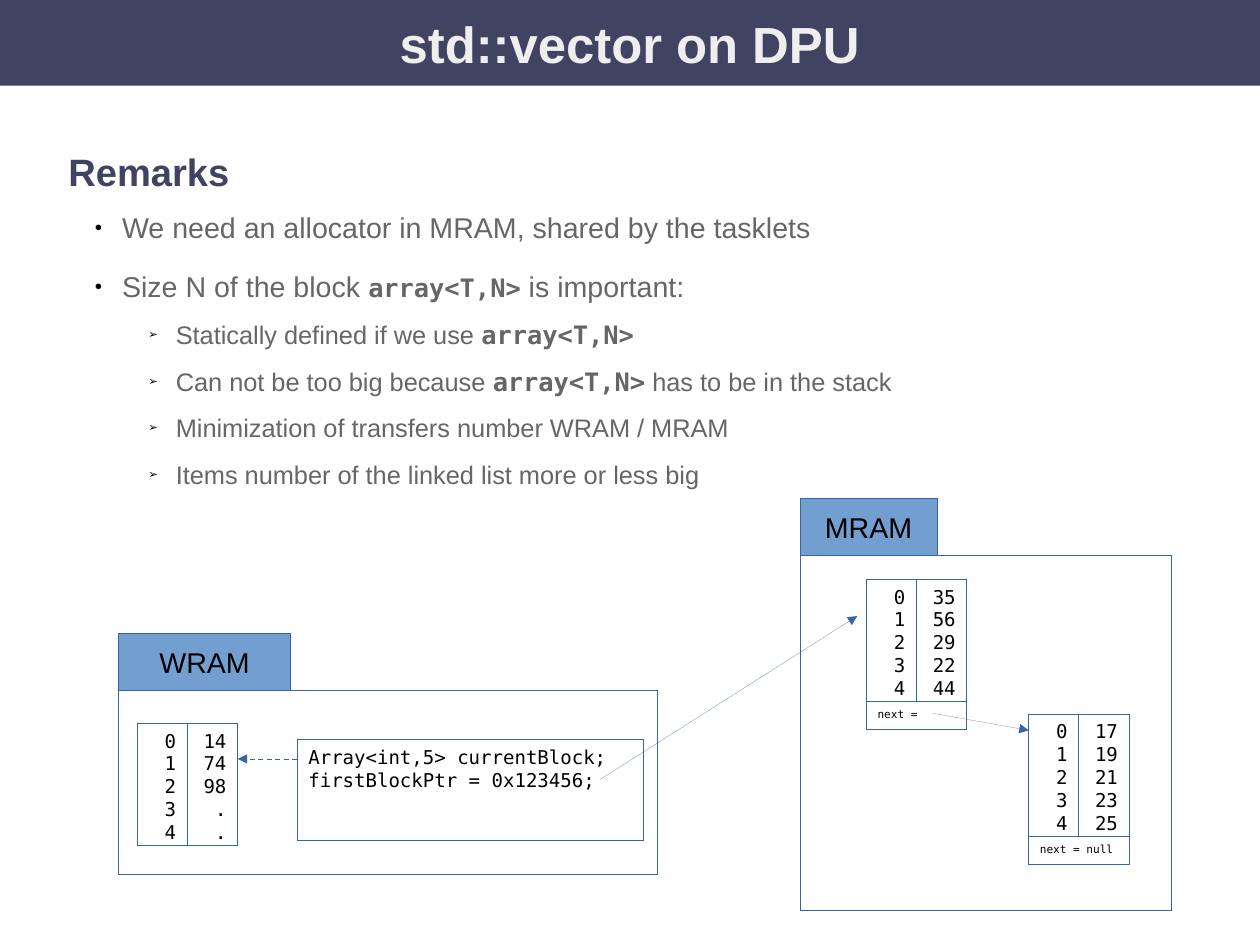
from lxml import etree
from pptx import Presentation
from pptx.dml.color import RGBColor
from pptx.enum.dml import MSO_LINE_DASH_STYLE as DASH
from pptx.enum.shapes import MSO_CONNECTOR as CONN, MSO_SHAPE as SHAPE
from pptx.enum.text import MSO_ANCHOR as ANCHOR, PP_ALIGN as ALIGN
from pptx.oxml.ns import qn
from pptx.util import Inches, Pt

COLORS = {
    "navy": "414363", "title": "EEEEEE", "body": "666666",
    "line": "3465A4", "label": "729FCF", "black": "000000",
}
SANS, MONO = "Arial", "DejaVu Sans Mono"
ARRAY = "array<T,N>"
WIDTH, HEIGHT = 28 / 2.54, 21 / 2.54  # 28 by 21 cm
COL_W, COL_H, NEXT_H = 0.44, 1.07, 0.24


def rgb(name):
    return RGBColor.from_string(COLORS[name])


def write(p, text, size=18, font=SANS, color="black", bold=False):
    r = p.add_run()
    r.text = text
    r.font.name, r.font.size, r.font.bold = font, Pt(size), bold
    r.font.color.rgb = rgb(color)


def add_bullet(p, char, level, indent):
    pPr = p._p.get_or_add_pPr()
    pPr.set("marL", str(Inches(indent)))
    pPr.set("indent", str(Inches(-0.24)))
    p.level = level
    clr = etree.SubElement(pPr, qn("a:buClr"))
    etree.SubElement(clr, qn("a:srgbClr")).set("val", COLORS["black"])
    etree.SubElement(pPr, qn("a:buSzPct")).set("val", "45000")
    etree.SubElement(pPr, qn("a:buFont")).set("typeface", SANS)
    etree.SubElement(pPr, qn("a:buChar")).set("char", char)


def hairline(sp):
    sp.line.color.rgb = rgb("line")
    ln = sp._element.spPr.find(qn("a:ln"))
    ln.set("w", "0")  # an absent width would fall back to the theme's
    return ln


class Deck:
    def __init__(self, width, height):
        self.prs = Presentation()
        self.prs.slide_width, self.prs.slide_height = Inches(width), Inches(height)
        self.s = self.prs.slides.add_slide(self.prs.slide_layouts[6])

    def box(self, x, y, w, h, lines=(), fill=None, outlined=True, align=ALIGN.LEFT,
            anchor=ANCHOR.TOP, parent=None, **fmt):
        shapes = (parent or self.s).shapes
        sp = shapes.add_shape(SHAPE.RECTANGLE, *map(Inches, (x, y, w, h)))
        sp.shadow.inherit = False
        if fill:
            sp.fill.solid()
            sp.fill.fore_color.rgb = rgb(fill)
        else:
            sp.fill.background()
        if outlined:
            hairline(sp)
        else:
            sp.line.fill.background()
        tf = sp.text_frame
        tf.word_wrap, tf.vertical_anchor = True, anchor
        for i, text in enumerate(lines):
            p = tf.paragraphs[0] if i == 0 else tf.add_paragraph()
            p.alignment = align
            write(p, text, **fmt)

    def memory(self, name, x, y, w, h, label_w):
        self.box(x, y, w, h)
        self.box(x, y - 0.5, label_w, 0.5, [name], fill="label",
                 align=ALIGN.CENTER, anchor=ANCHOR.MIDDLE)

    def block(self, x, y, values, next_text=None):
        grp = self.s.shapes.add_group_shape()
        for i, column in enumerate(("01234", values)):
            self.box(x + i * COL_W, y, COL_W, COL_H, column, align=ALIGN.RIGHT,
                     parent=grp, size=12, font=MONO)
        if next_text:
            self.box(x, y + COL_H, 2 * COL_W, NEXT_H, [next_text], size=7, font=MONO)

    def arrow(self, x1, y1, x2, y2, dashed=False):
        c = self.s.shapes.add_connector(CONN.STRAIGHT, *map(Inches, (x1, y1, x2, y2)))
        ln = hairline(c)
        if dashed:
            c.line.dash_style = DASH.DASH
        etree.SubElement(ln, qn("a:tailEnd")).set("type", "triangle")
        etree.SubElement(c._element.spPr, qn("a:effectLst"))

    def remarks(self, x, y, w, h, heading, items):
        tf = self.s.shapes.add_textbox(*map(Inches, (x, y, w, h))).text_frame
        tf.word_wrap = True
        write(tf.paragraphs[0], heading, size=24, color="navy", bold=True)
        for sub, parts in items:
            p = tf.add_paragraph()
            if sub:
                add_bullet(p, "➢", 3, 0.94)
            else:
                add_bullet(p, "●", 1, 0.47)
            p.space_before = Pt(4.3 if sub else 10)
            p.space_after = Pt(5.8 if sub else 5.7)
            for text in parts:
                code = text == ARRAY
                write(p, text, size=16 if sub or code else 18,
                      font=MONO if code else SANS, color="body", bold=code)


def main():
    deck = Deck(WIDTH, HEIGHT)

    # Title bar
    deck.box(0, 0, WIDTH, 0.75, ["std::vector on DPU"], fill="navy", outlined=False,
             align=ALIGN.CENTER, anchor=ANCHOR.MIDDLE, size=32, color="title", bold=True)

    # Remarks, as (is sub-item, text parts)
    deck.remarks(0.5, 1.25, 10, 2.99, "Remarks", [
        (False, ["We need an allocator in MRAM, shared by the tasklets"]),
        (False, ["Size N of the block ", ARRAY, " is important:"]),
        (True, ["Statically defined if we use ", ARRAY]),
        (True, ["Can not be too big because ", ARRAY, " has to be in the stack"]),
        (True, ["Minimization of transfers number WRAM / MRAM"]),
        (True, ["Items number of the linked list more or less big"]),
    ])

    # Memories
    deck.memory("MRAM", 7, 4.86, 3.25, 3.11, 1.2)
    deck.memory("WRAM", 1.04, 6.04, 4.71, 1.61, 1.5)

    # Blocks and variables
    deck.block(7.58, 5.07, ["35", "56", "29", "22", "44"], "next =")
    deck.block(9, 6.25, ["17", "19", "21", "23", "25"], "next = null")
    deck.block(1.2, 6.33, ["14", "74", "98", ".", "."])
    deck.box(2.6, 6.47, 3.03, 0.88,
             ["Array<int,5> currentBlock;", "firstBlockPtr = 0x123456;"],
             size=12, font=MONO)

    # Pointers
    deck.arrow(2.6, 6.64, 2.08, 6.64, dashed=True)
    deck.arrow(5.25, 6.82, 7.5, 5.39)
    deck.arrow(8.16, 6.24, 9, 6.39)

    deck.prs.save("out.pptx")


if __name__ == "__main__":
    main()
